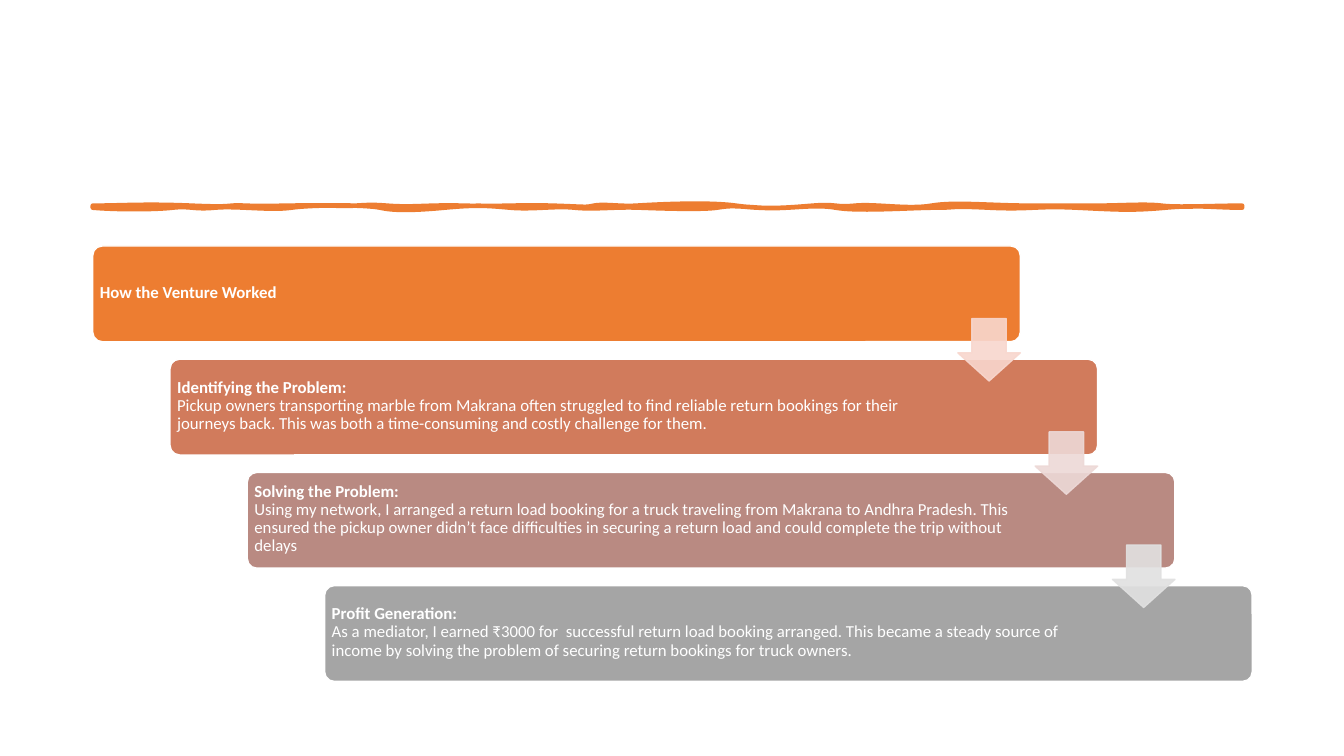
from lxml.etree import SubElement
from pptx import Presentation
from pptx.dml.color import RGBColor
from pptx.enum.shapes import MSO_SHAPE as Shape
from pptx.enum.text import MSO_ANCHOR as Anchor
from pptx.oxml.ns import qn
from pptx.util import Inches, Pt

WHITE = RGBColor(0xFF, 0xFF, 0xFF)
ORANGE = RGBColor(0xED, 0x7D, 0x31)
TERRACOTTA = RGBColor(0xD1, 0x7B, 0x5C)
ROSE = RGBColor(0xB9, 0x8A, 0x82)
GREY = RGBColor(0xA5, 0xA5, 0xA5)
PALE_ORANGE = RGBColor(0xF8, 0xD7, 0xCE)
PALE_ROSE = RGBColor(0xED, 0xD9, 0xD7)
PALE_GREY = RGBColor(0xE1, 0xE1, 0xE1)

CARD_LEFT, CARD_TOP, CARD_WIDTH, CARD_HEIGHT = 0.92, 2.44, 9.2, 0.95
STEP_X, STEP_Y = 2.3 / 3, 3.37 / 3
TEXT_INSET, TEXT_HEIGHT = 0.02, 0.89
ARROW_SIZE, ARROW_DROP = 0.62, 0.72

# heading, body, card colour, colour of the arrow to the next card, text width
STAGES = [
    ("How the Venture Worked", "", ORANGE, PALE_ORANGE, 8.09),
    ("Identifying the Problem:",
     "Pickup owners transporting marble from Makrana often struggled to find "
     "reliable return bookings for their journeys back. This was both a "
     "time-consuming and costly challenge for them.",
     TERRACOTTA, PALE_ROSE, 7.76),
    ("Solving the Problem:",
     "Using my network, I arranged a return load booking for a truck traveling "
     "from Makrana to Andhra Pradesh. This ensured the pickup owner didn’t face "
     "difficulties in securing a return load and could complete the trip without "
     "delays",
     ROSE, PALE_GREY, 7.77),
    ("Profit Generation:",
     "As a mediator, I earned ₹3000 for  successful return load booking arranged. "
     "This became a steady source of income by solving the problem of securing "
     "return bookings for truck owners.",
     GREY, None, 7.76),
]

# Each row is one Bezier curve: two control points and an end point
STROKE_START = (0.92, 2.04)
UPPER_EDGE = [
    (1.19, 2.04, 1.44, 2.02, 1.9, 2.04), (2.37, 2.06, 2.2, 2.03, 2.44, 2.04),
    (2.67, 2.05, 3.03, 2.03, 3.31, 2.04), (3.6, 2.05, 3.59, 2.02, 3.84, 2.04),
    (4.1, 2.06, 4.23, 2.03, 4.6, 2.04), (4.98, 2.05, 5.14, 2.03, 5.48, 2.04),
    (5.81, 2.05, 5.81, 2.06, 5.89, 2.04), (5.98, 2.02, 6.15, 2.05, 6.31, 2.04),
    (6.47, 2.03, 7.01, 2, 7.3, 2.04), (7.59, 2.08, 7.81, 2.06, 8.06, 2.04),
    (8.31, 2.02, 8.27, 2.06, 8.48, 2.04), (8.68, 2.02, 9.01, 2.08, 9.24, 2.04),
    (9.47, 2, 9.82, 2.04, 10.23, 2.04), (10.63, 2.04, 10.63, 2.04, 10.87, 2.04),
    (11.12, 2.04, 11.36, 2.02, 11.52, 2.04), (11.68, 2.06, 12.03, 2.04, 12.32, 2.04),
]
LOWER_EDGE = [
    (12.32, 2.05, 12.32, 2.05, 12.32, 2.06),
    (12.05, 2.06, 11.89, 2.03, 11.56, 2.06), (11.22, 2.09, 11.1, 2.08, 10.68, 2.06),
    (10.27, 2.04, 10.23, 2.08, 9.81, 2.06), (9.39, 2.04, 9.52, 2.06, 9.28, 2.06),
    (9.04, 2.06, 8.51, 2.1, 8.29, 2.06), (8.06, 2.02, 7.82, 2.08, 7.53, 2.06),
    (7.24, 2.04, 7.25, 2.04, 7.11, 2.06), (6.98, 2.08, 6.61, 2.07, 6.35, 2.06),
    (6.09, 2.05, 5.9, 2.08, 5.7, 2.06), (5.51, 2.04, 5.28, 2.08, 5.06, 2.06),
    (4.83, 2.04, 4.73, 2.03, 4.41, 2.06), (4.09, 2.09, 3.9, 2.09, 3.77, 2.06),
    (3.63, 2.03, 3.1, 2.03, 2.89, 2.06), (2.68, 2.09, 2.35, 2.04, 2.13, 2.06),
    (1.92, 2.08, 1.89, 2.04, 1.71, 2.06), (1.54, 2.08, 1.14, 2.08, 0.92, 2.06),
]


def bend_segments(shape, curves):
    """Turn each straight segment of a freeform into its Bezier curve."""
    segments = list(shape._element.iter(qn("a:lnTo")))
    for segment, curve in zip(segments, curves):
        segment.tag = qn("a:cubicBezTo")
        for old_point in list(segment):
            segment.remove(old_point)
        for x, y in zip(curve[::2], curve[1::2]):
            point = SubElement(segment, qn("a:pt"))
            point.set("x", str(Inches(x) - shape.left))
            point.set("y", str(Inches(y) - shape.top))


def add_text(paragraph, text, *, bold=False, size=12, color=WHITE, font="Calibri"):
    run = paragraph.add_run()
    run.text = text
    run.font.name = font
    run.font.size = Pt(size)
    run.font.bold = bold
    run.font.color.rgb = color


class VentureSlide:
    def __init__(self, slide):
        self.shapes = slide.shapes

    def paint(self, shape, fill, line, width=1, alpha=None):
        shape.shadow.inherit = False
        shape.fill.solid()
        shape.fill.fore_color.rgb = fill
        shape.line.color.rgb = line
        shape.line.width = Pt(width)
        if alpha is not None:
            for color in shape._element.spPr.iter(qn("a:srgbClr")):
                SubElement(color, qn("a:alpha")).set("val", str(alpha * 1000))

    def brush_stroke(self):
        curves = UPPER_EDGE + LOWER_EDGE
        builder = self.shapes.build_freeform(*map(Inches, STROKE_START))
        builder.add_line_segments(
            [(Inches(x), Inches(y)) for *_, x, y in curves], close=True)
        stroke = builder.convert_to_shape()
        bend_segments(stroke, curves)
        self.paint(stroke, ORANGE, ORANGE, width=3.25)

    def card(self, left, top, color):
        card = self.shapes.add_shape(
            Shape.ROUNDED_RECTANGLE, Inches(left), Inches(top),
            Inches(CARD_WIDTH), Inches(CARD_HEIGHT))
        card.adjustments[0] = 0.1
        self.paint(card, color, WHITE)

    def card_text(self, left, top, width, heading, body):
        frame = self.shapes.add_textbox(
            Inches(left + TEXT_INSET), Inches(top + TEXT_INSET),
            Inches(width), Inches(TEXT_HEIGHT)).text_frame
        frame.word_wrap = True
        frame.vertical_anchor = Anchor.MIDDLE
        frame.margin_left = frame.margin_right = Inches(0.05)
        frame.margin_top = frame.margin_bottom = Inches(0.05)
        paragraph = frame.paragraphs[0]
        paragraph.line_spacing = 0.9
        add_text(paragraph, heading, bold=True)
        if body:
            paragraph.add_line_break()
            add_text(paragraph, body)

    def arrow(self, left, top, color):
        arrow = self.shapes.add_shape(
            Shape.DOWN_ARROW, Inches(left), Inches(top),
            Inches(ARROW_SIZE), Inches(ARROW_SIZE))
        arrow.adjustments[0] = 0.55
        arrow.adjustments[1] = 0.45
        self.paint(arrow, color, color, alpha=90)


def main():
    deck = Presentation()
    deck.slide_width, deck.slide_height = Inches(13.33), Inches(7.5)
    venture = VentureSlide(deck.slides.add_slide(deck.slide_layouts[6]))
    venture.brush_stroke()
    corners = [(CARD_LEFT + i * STEP_X, CARD_TOP + i * STEP_Y)
               for i in range(len(STAGES))]
    for (left, top), (heading, body, color, _, text_width) in zip(corners, STAGES):
        venture.card(left, top, color)
        venture.card_text(left, top, text_width, heading, body)
    for (left, top), (*_, arrow_color, _) in zip(corners[:-1], STAGES):
        venture.arrow(left + CARD_WIDTH - ARROW_SIZE, top + ARROW_DROP, arrow_color)
    deck.save("out.pptx")


if __name__ == "__main__":
    main()
